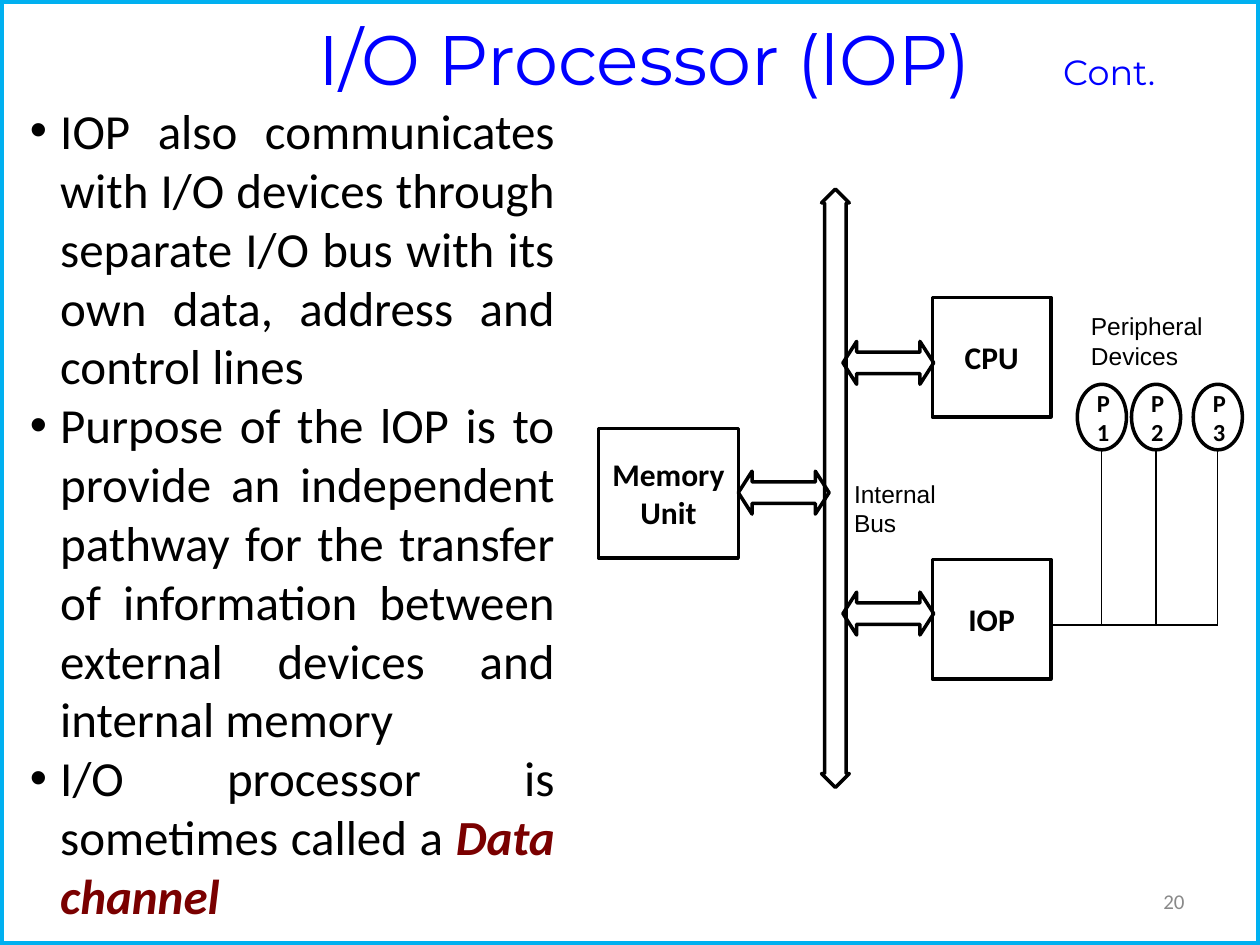
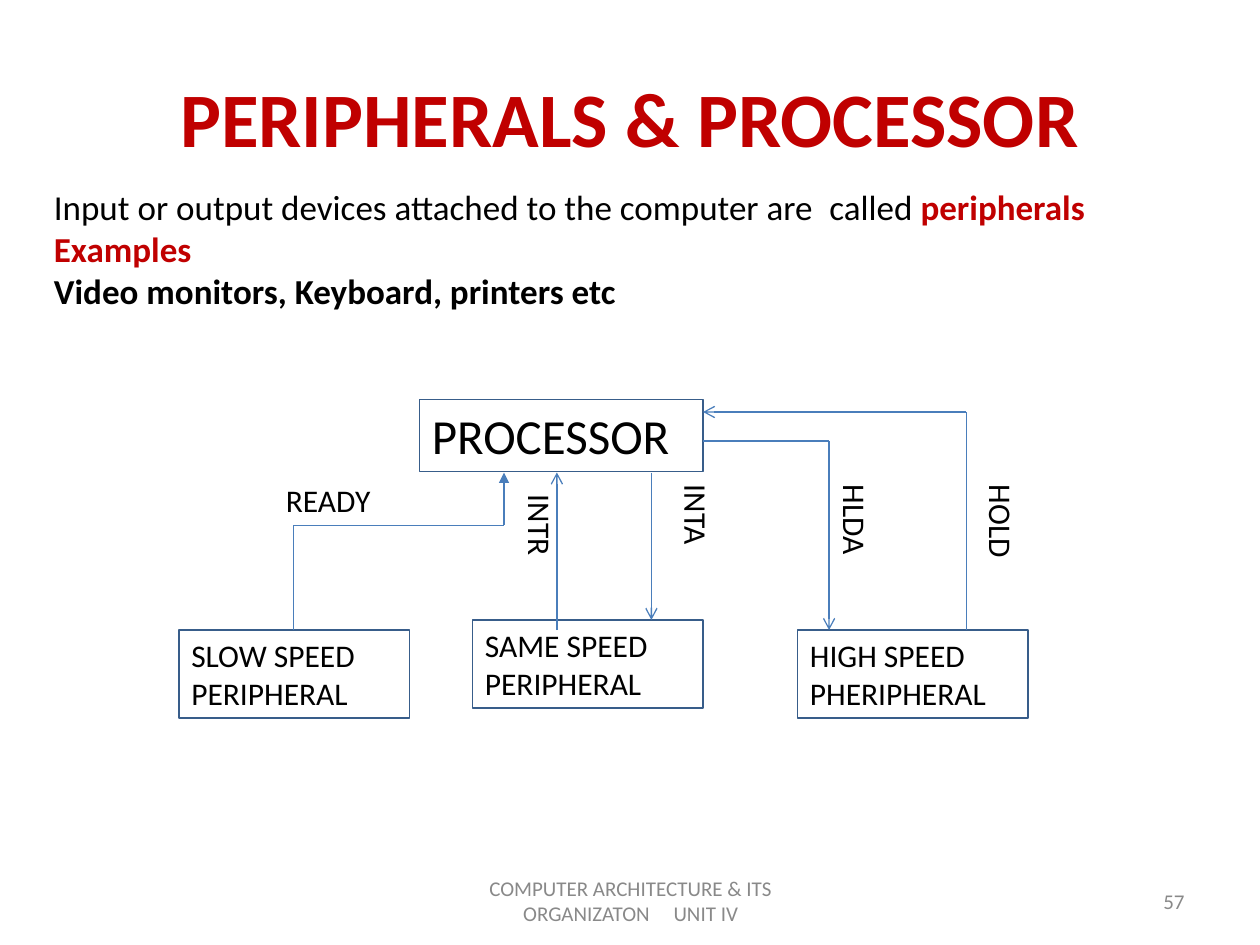
from dataclasses import dataclass

from lxml import etree
from pptx import Presentation
from pptx.dml.color import RGBColor
from pptx.enum.shapes import MSO_CONNECTOR, MSO_SHAPE
from pptx.enum.text import MSO_ANCHOR, PP_ALIGN
from pptx.oxml.ns import qn
from pptx.util import Inches, Pt

RECT, ELLIPSE = MSO_SHAPE.RECTANGLE, MSO_SHAPE.OVAL
ACROSS, UPRIGHT = MSO_SHAPE.LEFT_RIGHT_ARROW, MSO_SHAPE.UP_DOWN_ARROW
LEFT, CENTER, RIGHT, JUSTIFY = PP_ALIGN.LEFT, PP_ALIGN.CENTER, PP_ALIGN.RIGHT, PP_ALIGN.JUSTIFY
TOP, MIDDLE = MSO_ANCHOR.TOP, MSO_ANCHOR.MIDDLE
STRAIGHT = MSO_CONNECTOR.STRAIGHT


@dataclass(frozen=True)
class Theme:
    body: str = "Calibri"
    label: str = "Arial"
    display: str = "Montserrat"
    ink: str = "000000"
    blue: str = "0000FF"
    red: str = "C00000"
    maroon: str = "7A0000"
    grey: str = "898989"
    frame: str = "00B0F0"
    box_line: str = "385D8A"
    signal_line: str = "4A7EBB"
    title: int = 44
    iop_title: int = 40
    large: int = 28
    medium: int = 20
    normal: int = 18
    small: int = 14
    footer: int = 12
    thick: float = 2
    thin: float = 0.75
    border: float = 4.5


T = Theme()
WIDTH, HEIGHT = 10, 7.5
KEY = {"color": T.red, "bold": True}

IOP_TITLE = ["I/O Processor (lOP)", ("\tCont.", {"size": T.medium})]
CONT_TAB = 5.91
IOP_POINTS = [
    ["IOP also communicates with I/O devices through separate I/O bus with its own data, "
     "address and control lines"],
    ["Purpose of the lOP is to provide an independent pathway for the transfer of "
     "information between external devices and internal memory"],
    ["I/O processor is sometimes called a ",
     ("Data channel", {"color": T.maroon, "bold": True, "italic": True})],
]
UNITS = [
    ("Memory Unit", (4.75, 3.4, 1.11, 1.03)),
    ("CPU", (7.4, 2.36, 0.94, 0.95)),
    ("IOP", (7.4, 4.44, 0.94, 0.95)),
]
BUS = (6.52, 1.5, 0.22, 4.75)
BUS_LINKS = [(6.69, 2.71), (5.86, 3.74), (6.69, 4.7)]
LINK_SIZE = (0.72, 0.34)
DEVICES = [("P1", 8.55), ("P2", 8.98), ("P3", 9.47)]
DEVICE_TOP, DEVICE_SIZE = 3.05, (0.39, 0.52)
IO_BUS_START, IO_BUS_Y = 8.34, 4.96
DIAGRAM_LABELS = [
    ("Internal Bus", (6.68, 3.75, 1, 0.57)),
    ("Peripheral Devices", (8.56, 2.42, 1.4, 0.57)),
]

PERIPHERAL_TITLE = ["PERIPHERALS & PROCESSOR"]
COURSE = ["COMPUTER ARCHITECTURE & ITS ORGANIZATON", (" ", {"gap": 10.8}), "UNIT IV"]
INTRO = [
    (["Input or output devices attached to the computer are", (" ", {"gap": 4.5}),
      "called ", ("peripherals", KEY)], {}),
    (["Examples"], KEY),
    (["Video monitors, Keyboard, printers etc"], {"bold": True}),
]
BLOCKS = [
    ("PROCESSOR", (3.33, 3.17, 2.25, 0.57), T.large),
    ("SLOW SPEED PERIPHERAL", (1.42, 5, 1.83, 0.7), T.normal),
    ("SAME SPEED PERIPHERAL", (3.75, 4.92, 1.83, 0.7), T.normal),
    ("HIGH SPEED PHERIPHERAL", (6.33, 5, 1.83, 0.7), T.normal),
]
SIGNAL_PATHS = [
    ([(2.33, 5), (2.33, 4.17), (4, 4.17), (4, 3.75)], "triangle"),
    ([(4.42, 5), (4.42, 3.75)], "arrow"),
    ([(5.17, 3.75), (5.17, 4.92)], "arrow"),
    ([(5.58, 3.5), (6.58, 3.5), (6.58, 5)], "arrow"),
    ([(7.67, 5), (7.67, 3.27), (5.58, 3.27)], "arrow"),
]
READY = ("READY", (2.17, 3.77, 1.42, 0.4))
TURNED_SIGNALS = [("INTR", 4.29, 3.83), ("INTA", 5.53, 3.75),
                  ("HLDA", 6.79, 3.75), ("HOLD", 7.95, 3.75)]
TURNED_SIZE = (0.92, 0.4)


def inches(values):
    return [Inches(value) for value in values]


def style(font, size=None, color=None, name=None, bold=None, italic=None):
    if size:
        font.size = Pt(size)
    if color:
        font.color.rgb = RGBColor.from_string(color)
    if name:
        font.name = name
    if bold is not None:
        font.bold = bold
    if italic is not None:
        font.italic = italic


def add_property(paragraph, tag, **attributes):
    return etree.SubElement(paragraph._p.get_or_add_pPr(), qn(tag), attributes)


def add_bullet(paragraph):
    properties = paragraph._p.get_or_add_pPr()
    properties.set("marL", str(Inches(0.38)))
    properties.set("indent", str(Inches(-0.24)))
    add_property(paragraph, "a:buFont", typeface=T.label)
    add_property(paragraph, "a:buChar", char="•")


def write(shape, paragraphs, size, color=T.ink, name=T.body, bold=False,
          align=LEFT, anchor=TOP, bullets=False, tab=None):
    frame = shape.text_frame
    frame.word_wrap = True
    frame.vertical_anchor = anchor
    for index, (pieces, changes) in enumerate(paragraphs):
        paragraph = frame.add_paragraph() if index else frame.paragraphs[0]
        paragraph.alignment = align
        if bullets:
            add_bullet(paragraph)
        if tab:
            stops = add_property(paragraph, "a:tabLst")
            etree.SubElement(stops, qn("a:tab"), pos=str(Inches(tab)), algn="l")
        base = {"size": size, "color": color, "name": name, "bold": bold}
        style(paragraph.font, **{**base, **changes})
        for piece in pieces:
            text, accent = (piece, {}) if isinstance(piece, str) else piece
            run = paragraph.add_run()
            run.text = text
            if "gap" in accent:
                run._r.get_or_add_rPr().set("spc", str(round(accent["gap"] * 100)))
            else:
                style(run.font, **accent)


def add_text(slide, pieces, place, size, **options):
    box = slide.shapes.add_textbox(*inches(place))
    write(box, [(pieces, {})], size, **options)
    return box


def add_outline(slide, kind, place, color, weight):
    shape = slide.shapes.add_shape(kind, *inches(place))
    shape.shadow.inherit = False
    shape.fill.background()
    shape.line.color.rgb = RGBColor.from_string(color)
    shape.line.width = Pt(weight)
    return shape


def add_double_arrow(slide, kind, place, head):
    arrow = add_outline(slide, kind, place, T.ink, T.thick)
    arrow.adjustments[0] = 0.5
    arrow.adjustments[1] = head


def add_path(slide, points, color, head=None):
    for start, end in zip(points, points[1:]):
        line = slide.shapes.add_connector(STRAIGHT, *inches(start + end))
        line.line.color.rgb = RGBColor.from_string(color)
        line.line.width = Pt(T.thin)
        properties = line._element.spPr
        etree.SubElement(properties, qn("a:effectLst"))
    if head:
        etree.SubElement(properties.find(qn("a:ln")), qn("a:tailEnd"), type=head)


def add_slide(deck, number, course=None):
    slide = deck.slides.add_slide(deck.slide_layouts[6])
    footer = {"size": T.footer, "color": T.grey, "anchor": MIDDLE}
    if course:
        add_text(slide, course, (3.42, 6.95, 3.17, 0.4), align=CENTER, **footer)
    add_text(slide, [number], (7.17, 6.95, 2.33, 0.4), align=RIGHT, **footer)
    return slide


def build_iop(deck):
    slide = add_slide(deck, "20")
    add_text(slide, IOP_TITLE, (2.43, -0.17, 7.57, 1.25), T.iop_title, color=T.blue,
             name=T.display, anchor=MIDDLE, tab=CONT_TAB)
    for unit, place in UNITS:
        box = add_outline(slide, RECT, place, T.ink, T.thick)
        write(box, [([unit], {})], T.normal, bold=True, align=CENTER, anchor=MIDDLE)
    for corner in BUS_LINKS:
        add_double_arrow(slide, ACROSS, corner + LINK_SIZE, 0.32)

    device_width, device_height = DEVICE_SIZE
    centers = [left + device_width / 2 for _, left in DEVICES]
    add_path(slide, [(IO_BUS_START, IO_BUS_Y), (centers[-1], IO_BUS_Y)], T.ink)
    for (device, left), center in zip(DEVICES, centers):
        add_path(slide, [(center, IO_BUS_Y), (center, DEVICE_TOP + device_height)], T.ink)
        oval = add_outline(slide, ELLIPSE, (left, DEVICE_TOP) + DEVICE_SIZE, T.ink, T.thick)
        write(oval, [([device], {})], T.small, bold=True, align=CENTER, anchor=MIDDLE)

    add_double_arrow(slide, UPRIGHT, BUS, 0.78)
    for label, place in DIAGRAM_LABELS:
        add_text(slide, [label], place, T.small, name=T.label)
    points = slide.shapes.add_textbox(*inches((0, 0.75, 4.5, 6.7)))
    write(points, [(pieces, {}) for pieces in IOP_POINTS], T.large,
          align=JUSTIFY, bullets=True)
    add_outline(slide, RECT, (0, 0, WIDTH, HEIGHT), T.frame, T.border)


def build_peripherals(deck):
    slide = add_slide(deck, "57", COURSE)
    add_text(slide, PERIPHERAL_TITLE, (0.5, 0.3, 9, 1.25), T.title, color=T.red,
             bold=True, align=CENTER, anchor=MIDDLE)
    intro = slide.shapes.add_textbox(*inches((0.33, 1.42, 9.67, 1.1)))
    write(intro, INTRO, T.medium)
    for block, place, size in BLOCKS:
        box = add_outline(slide, RECT, place, T.box_line, T.thin)
        write(box, [([block], {})], size)
    for points, head in SIGNAL_PATHS:
        add_path(slide, points, T.signal_line, head)

    ready, place = READY
    add_text(slide, [ready], place, T.normal)
    length, depth = TURNED_SIZE
    for signal, center, top in TURNED_SIGNALS:
        corner = (center - length / 2, top + (length - depth) / 2)
        add_text(slide, [signal], corner + TURNED_SIZE, T.normal).rotation = 90


def main():
    deck = Presentation()
    deck.slide_width, deck.slide_height = inches((WIDTH, HEIGHT))
    build_iop(deck)
    build_peripherals(deck)
    deck.save("out.pptx")


if __name__ == "__main__":
    main()
